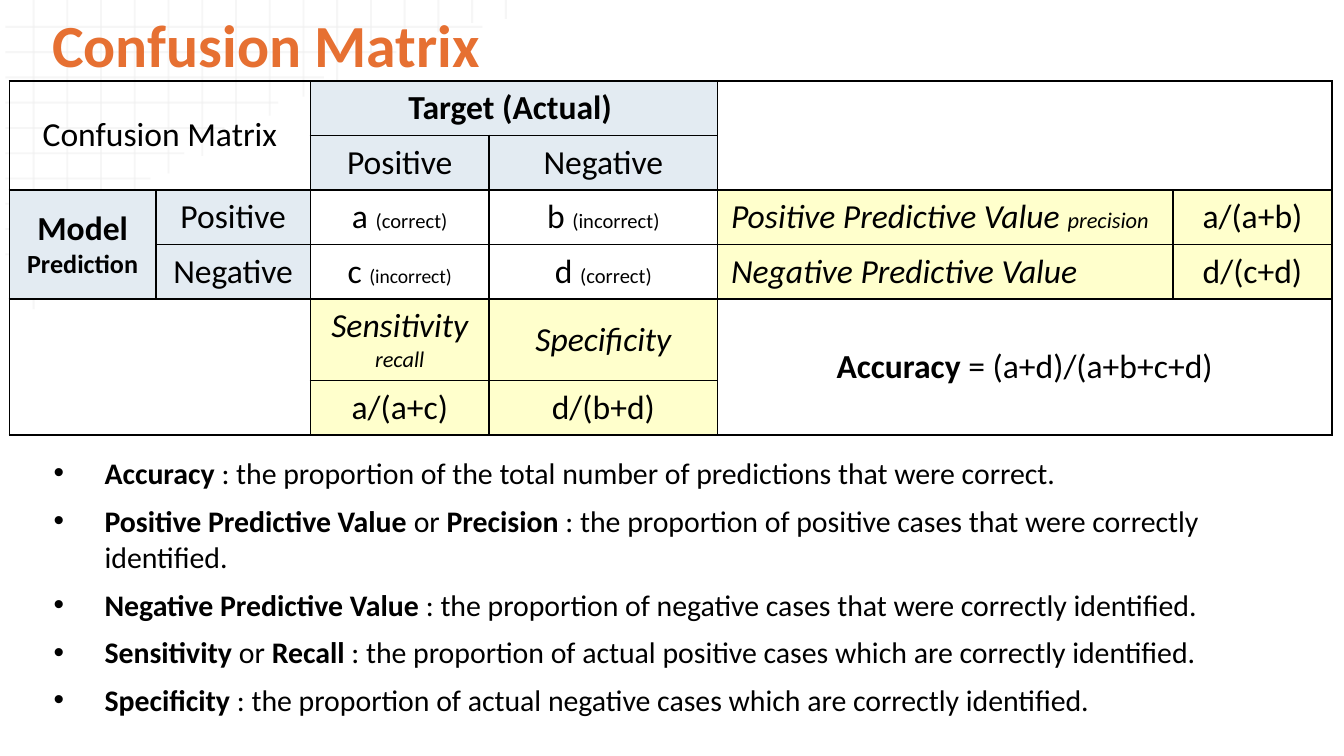
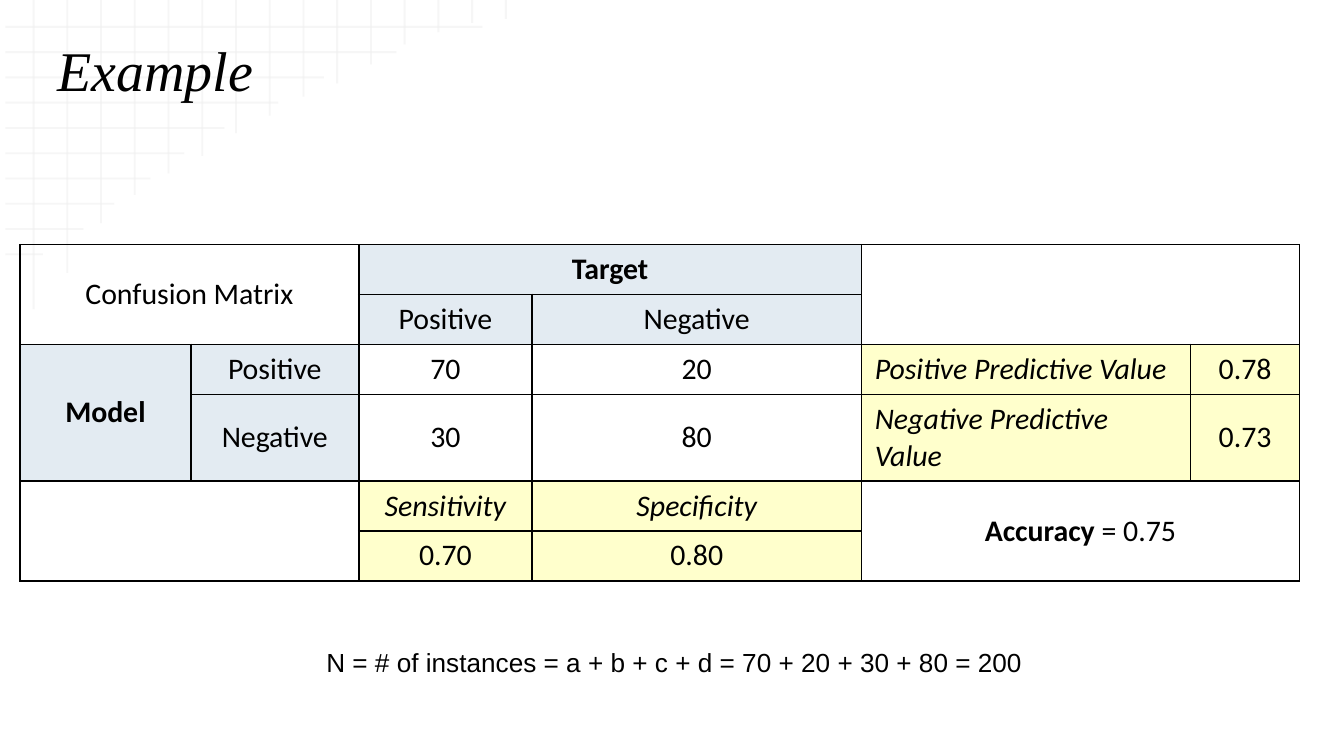
from lxml import etree
from pptx import Presentation
from pptx.dml.color import RGBColor
from pptx.enum.shapes import MSO_CONNECTOR as Conn
from pptx.enum.text import MSO_ANCHOR as Anchor, PP_ALIGN as Align
from pptx.oxml.ns import qn
from pptx.util import Inches, Pt

WIDE = 10
HIGH = WIDE * 9 / 16
BLACK, ORANGE, PALE = "000000", "E67032", "EFEFEF"
BLUE, CREAM = "E3EBF2", "FFFFCC"
BOLD, ITAL = {"bold": True}, {"italic": True}

# Ends of the faint background lines, in inches
ENDS_X = [3.59, 2.95, 2.41, 2.07, 1.67, 1.37, 1.12, 0.85, 0.62, 0.32]
ENDS_Y = [2.3, 2.03, 1.66, 1.45, 1.29, 1.16, 0.99, 0.86,
          0.72, 0.62, 0.48, 0.33, 0.24, 0.17, 0.14]

# Matrix slots: row, column, row span, column span, fill, run format
SLOTS = [
    (0, 0, 2, 2, None, {}), (0, 2, 1, 2, BLUE, BOLD), (0, 4, 2, 2, None, {}),
    (1, 2, 1, 1, BLUE, {}), (1, 3, 1, 1, BLUE, {}),
    (2, 0, 2, 1, BLUE, BOLD), (2, 1, 1, 1, BLUE, {}),
    (2, 2, 1, 1, None, {}), (2, 3, 1, 1, None, {}),
    (2, 4, 1, 1, CREAM, ITAL), (2, 5, 1, 1, CREAM, {}),
    (3, 1, 1, 1, BLUE, {}), (3, 2, 1, 1, None, {}), (3, 3, 1, 1, None, {}),
    (3, 4, 1, 1, CREAM, ITAL), (3, 5, 1, 1, CREAM, {}),
    (4, 0, 2, 2, None, {}), (4, 2, 1, 1, CREAM, ITAL), (4, 3, 1, 1, CREAM, ITAL),
    (4, 4, 2, 2, None, {}), (5, 2, 1, 1, CREAM, {}), (5, 3, 1, 1, CREAM, {}),
]


def rgb(code):
    return RGBColor.from_string(code)


def area(x, y, w, h):
    """Turn percentages of the slide into lengths."""
    return [Inches(part * side / 100)
            for part, side in zip((x, y, w, h), (WIDE, HIGH) * 2)]


def write(frame, paras, size=16, font="Calibri", color=BLACK, align=Align.LEFT,
          before=0, bullet=False, **look):
    """Fill a frame; a paragraph is a string or a list of strings and (text, format)."""
    for i, runs in enumerate(paras):
        para = frame.add_paragraph() if i else frame.paragraphs[0]
        para.alignment = align
        para.space_before = Pt(before)
        if bullet:
            props = para._p.get_or_add_pPr()
            props.set("marL", str(Inches(0.5)))
            props.set("indent", str(Inches(-0.38)))
            etree.SubElement(props, qn("a:buFont")).set("typeface", "Arial")
            etree.SubElement(props, qn("a:buChar")).set("char", "•")
        for item in [runs] if isinstance(runs, str) else runs:
            text, extra = (item, {}) if isinstance(item, str) else item
            style = {"size": size, **look, **extra}
            run = para.add_run()
            run.text = text
            run.font.name = font
            run.font.size = Pt(style["size"])
            run.font.bold = style.get("bold", False)
            run.font.italic = style.get("italic", False)
            run.font.color.rgb = rgb(color)


def textbox(slide, box, paras, anchor=Anchor.TOP, pad=0.1, wrap=True, **look):
    frame = slide.shapes.add_textbox(*area(*box)).text_frame
    frame.word_wrap = wrap
    frame.vertical_anchor = anchor
    frame.margin_left = frame.margin_right = Inches(0.1)
    frame.margin_top = frame.margin_bottom = Inches(pad)
    write(frame, paras, **look)


def title(slide, x, y, text, **look):
    textbox(slide, (x, y, 90, 11.6), [text], Anchor.MIDDLE, **look)


def backdrop(slide):
    """Draw the faint grid in the top left corner."""
    rows = [(0.04, 0.2 + 0.188 * i, end, 0.2 + 0.188 * i)
            for i, end in enumerate(ENDS_X)]
    cols = [(0.25 + 0.251 * i, end, 0.25 + 0.251 * i, 0)
            for i, end in enumerate(ENDS_Y)]
    group = slide.shapes.add_group_shape()
    for ends in rows + cols:
        line = group.shapes.add_connector(Conn.STRAIGHT, *map(Inches, ends))
        line.line.width = Pt(1)
        line.line.color.rgb = rgb(PALE)
        tint = line._element.spPr.find(".//" + qn("a:srgbClr"))
        etree.SubElement(tint, qn("a:alpha")).set("val", "54000")
        etree.SubElement(line._element.spPr, qn("a:effectLst"))


def border(cell):
    props = cell._tc.get_or_add_tcPr()
    for i, side in enumerate(("lnL", "lnR", "lnT", "lnB")):
        edge = etree.Element(qn("a:" + side), w=str(Pt(1)))
        fill = etree.SubElement(edge, qn("a:solidFill"))
        etree.SubElement(fill, qn("a:srgbClr")).set("val", BLACK)
        props.insert(i, edge)


def matrix(slide, box, cols, rows, texts, size):
    """Place the confusion matrix; cols and rows are relative sizes."""
    x, y, w, h = area(*box)
    table = slide.shapes.add_table(len(rows), len(cols), x, y, w, h).table
    table.first_row = table.horz_banding = False
    for col, share in zip(table.columns, cols):
        col.width = int(w * share / sum(cols))
    for row, share in zip(table.rows, rows):
        row.height = int(h * share / sum(rows))
    for cell in table.iter_cells():
        cell.fill.background()
        border(cell)
        # Keeps empty cells from stretching their row
        para = cell.text_frame.paragraphs[0]._p
        etree.SubElement(para, qn("a:endParaRPr")).set("sz", str(size * 100))
    for (r, c, down, across, fill, look), paras in zip(SLOTS, texts):
        cell = table.cell(r, c)
        if down * across > 1:
            cell.merge(table.cell(r + down - 1, c + across - 1))
        if fill:
            cell.fill.solid()
            cell.fill.fore_color.rgb = rgb(fill)
        cell.vertical_anchor = Anchor.MIDDLE
        label = c == 4 and across == 1
        write(cell.text_frame, paras, size=size,
              align=Align.LEFT if label else Align.CENTER, **look)


def concept(slide):
    backdrop(slide)
    title(slide, 2.9, 0, "Confusion Matrix", size=32, color=ORANGE, bold=True)
    terms = [
        [("Accuracy ", BOLD),
         ": the proportion of the total number of predictions that were correct."],
        [("Positive Predictive Value", BOLD), " or ", ("Precision ", BOLD),
         ": the proportion of positive cases that were correctly identified."],
        [("Negative Predictive Value", BOLD),
         " : the proportion of negative cases that were correctly identified."],
        [("Sensitivity", BOLD), " or ", ("Recall ", BOLD),
         ": the proportion of actual positive cases which are correctly identified. "],
        [("Specificity ", BOLD),
         ": the proportion of actual negative cases which are correctly identified. "],
    ]
    textbox(slide, (1.8, 58.4, 96.5, 37.7), terms, before=6.4, bullet=True)
    note = {"size": 11}
    small = {"size": 12}
    texts = [
        ["Confusion Matrix"], ["Target (Actual) "], [],
        ["Positive"], ["Negative"],
        ["Model", [("Prediction", {"size": 14})]], ["Positive"],
        [["a ", ("(correct)", note)]], [["b ", ("(incorrect)", note)]],
        [["Positive Predictive Value ", ("precision", small)]], ["a/(a+b)"],
        ["Negative"], [["c ", ("(incorrect)", {"size": 10.5})]],
        [["d ", ("(correct)", note)]],
        ["Negative Predictive Value"], ["d/(c+d)"],
        [], ["Sensitivity", [("recall", small)]], ["Specificity"],
        [[("Accuracy", BOLD), " = (a+d)/(a+b+c+d)"]], ["a/(a+c)"], ["d/(b+d)"],
    ]
    matrix(slide, (0.7, 10.7, 98.4, 46.9), [1.09, 1.15, 1.33, 1.7, 3.39, 1.18],
           [1, 1, 1, 1, 1.5, 1], texts, 18)


def example(slide):
    backdrop(slide)
    title(slide, 3.3, 3.4, "Example", size=30, font="Times New Roman", italic=True)
    texts = [
        ["Confusion Matrix"], ["Target"], [],
        ["Positive"], ["Negative"],
        ["Model"], ["Positive"], ["70"], ["20"],
        ["Positive Predictive Value"], ["0.78"],
        ["Negative"], ["30"], ["80"],
        ["Negative Predictive Value"], ["0.73"],
        [], ["Sensitivity"], ["Specificity"],
        [[("Accuracy", BOLD), " = 0.75"]], ["0.70"], ["0.80"],
    ]
    matrix(slide, (1.5, 32.35, 95.2, 44.5), [1.27, 1.25, 1.29, 2.45, 2.45, 0.81],
           [1, 1, 1, 1.73, 1, 1], texts, 16)
    textbox(slide, (23.3, 84.6, 54, 6), pad=0.05, wrap=False, size=14, font="Arial",
            paras=["N = # of instances = a + b + c + d = 70 + 20 + 30 + 80 = 200"])


def main():
    deck = Presentation()
    deck.slide_width, deck.slide_height = Inches(WIDE), Inches(HIGH)
    for build in (concept, example):
        build(deck.slides.add_slide(deck.slide_layouts[6]))
    deck.save("out.pptx")


if __name__ == "__main__":
    main()
